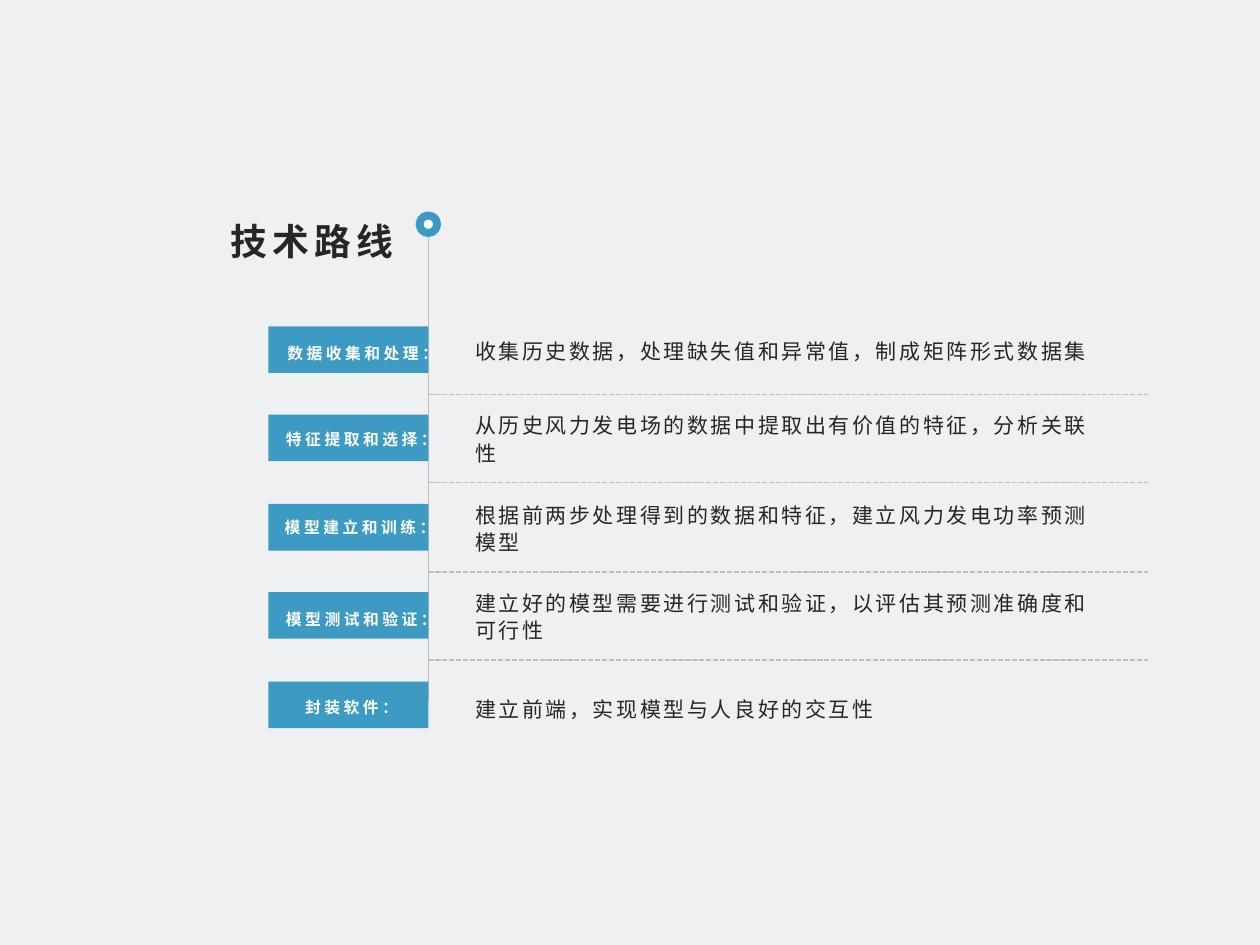
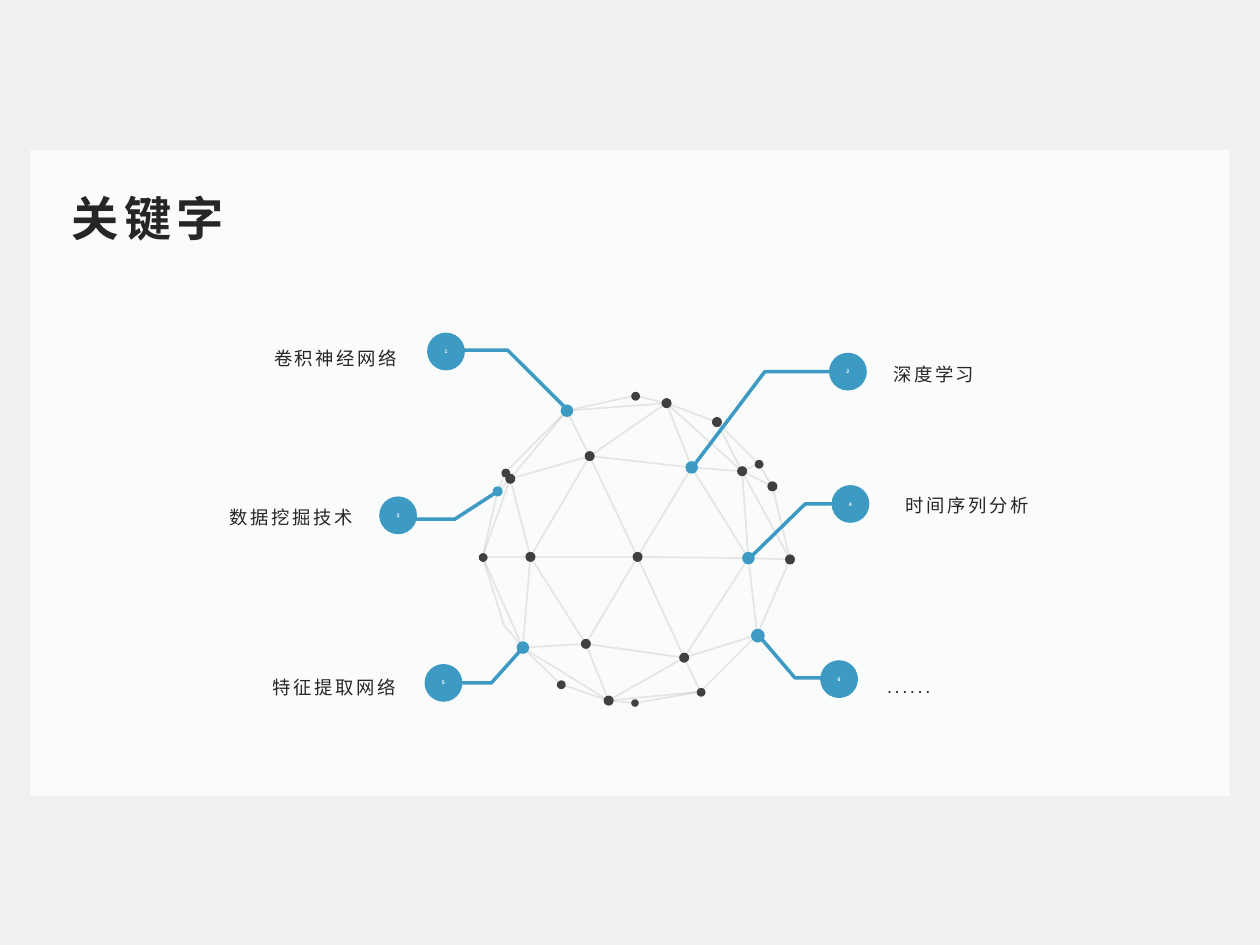
from dataclasses import dataclass

from lxml import etree
from pptx import Presentation
from pptx.dml.color import RGBColor
from pptx.enum.dml import MSO_LINE
from pptx.enum.shapes import MSO_CONNECTOR, MSO_SHAPE
from pptx.enum.text import MSO_ANCHOR, MSO_AUTO_SIZE, PP_ALIGN
from pptx.oxml.ns import qn
from pptx.util import Pt

PX = 9144  # EMU per px, 100 px to the inch
FONT = "Arial"
BACKGROUND, PANEL, WHITE = "EFF0F1", "FAFCFC", "FFFFFF"
ACCENT, INK, DOT = "3D9AC2", "262626", "404040"
RULE, MESH = "BFBFBF", "A6A6A6"
RECT, OVAL = MSO_SHAPE.RECTANGLE, MSO_SHAPE.OVAL
STRAIGHT, DASHED = MSO_CONNECTOR.STRAIGHT, MSO_LINE.SQUARE_DOT
LEFT, CENTER, RIGHT = PP_ALIGN.LEFT, PP_ALIGN.CENTER, PP_ALIGN.RIGHT
TOP, MIDDLE = MSO_ANCHOR.TOP, MSO_ANCHOR.MIDDLE
TITLE_ONLY = 5

Box = tuple[int, int, int, int]
Point = tuple[int, int]


@dataclass(frozen=True)
class Step:
    label: str
    label_box: Box
    detail: str
    line_spacing: float = 1.1


@dataclass(frozen=True)
class Node:
    left: int
    top: int
    size: int
    color: str = DOT

    @property
    def center(self) -> Point:
        return self.left + self.size // 2, self.top + self.size // 2


@dataclass(frozen=True)
class Keyword:
    text: str
    label_at: Point
    align: PP_ALIGN
    badge_at: Point
    leader: tuple[Point, Point, Point]


STEPS = [
    Step("数据收集和处理：", (217, 251, 129, 54),
         "收集历史数据，处理缺失值和异常值，制成矩阵形式数据集"),
    Step("特征提取和选择：", (215, 321, 131, 50),
         "从历史风力发电场的数据中提取出有价值的特征，分析关联性"),
    Step("模型建立和训练：", (217, 393, 125, 46),
         "根据前两步处理得到的数据和特征，建立风力发电功率预测模型"),
    Step("模型测试和验证：", (215, 466, 131, 46),
         "建立好的模型需要进行测试和验证，以评估其预测准确度和可行性"),
    Step("封装软件：", (231, 544, 96, 30),
         "建立前端，实现模型与人良好的交互性", 1.3),
]

NODES = [
    Node(501, 311, 7), Node(525, 316, 8), Node(565, 331, 8),
    Node(445, 321, 10, ACCENT), Node(464, 358, 8), Node(544, 366, 10, ACCENT),
    Node(585, 370, 8), Node(599, 365, 7), Node(609, 382, 8),
    Node(398, 372, 7), Node(401, 376, 8), Node(391, 386, 8, ACCENT),
    Node(380, 439, 7), Node(417, 438, 8), Node(502, 438, 8),
    Node(589, 438, 10, ACCENT), Node(623, 440, 8), Node(410, 509, 10, ACCENT),
    Node(461, 507, 8), Node(539, 518, 8), Node(596, 499, 11, ACCENT),
    Node(442, 540, 7), Node(479, 552, 8), Node(501, 555, 6), Node(553, 546, 7),
]
LEFT_BEND = (400, 496)
# node index -> indexes of the nodes it is tied to
TIES = {
    0: (1, 3), 1: (2, 3, 4, 5, 6), 2: (6, 7), 3: (4, 9, 10),
    4: (5, 10, 13, 14), 5: (6, 14, 15), 6: (7, 8, 15, 16), 7: (8,), 8: (16,),
    9: (11,), 10: (11, 12, 13), 11: (12,), 12: (13, 17), 13: (14, 17, 18),
    14: (15, 18, 19), 15: (16, 19, 20), 16: (20,), 17: (18, 21, 22),
    18: (19, 22), 19: (20, 22, 24), 20: (24,), 21: (22,), 22: (23, 24),
    23: (24,),
}

KEYWORDS = [
    Keyword("卷积神经网络", (125, 239), RIGHT, (339, 264),
            ((449, 324), (403, 278), (365, 278))),
    Keyword("深度学习", (702, 252), LEFT, (658, 280),
            ((551, 369), (607, 295), (666, 295))),
    Keyword("数据挖掘技术", (90, 365), RIGHT, (301, 394),
            ((395, 390), (361, 412), (328, 412))),
    Keyword("时间序列分析", (712, 356), LEFT, (660, 385),
            ((595, 443), (639, 400), (670, 400))),
    Keyword("特征提取网络", (124, 500), RIGHT, (337, 527),
            ((416, 513), (390, 542), (365, 542))),
    Keyword("......", (697, 499), LEFT, (651, 524),
            ((601, 503), (631, 538), (652, 538))),
]


def rgb(color: str) -> RGBColor:
    return RGBColor.from_string(color)


def emu(*lengths: int) -> list[int]:
    return [length * PX for length in lengths]


def write(shape, text: str, *, size: float, color: str = INK, bold: bool = False,
          spacing: float = 0, align: PP_ALIGN = LEFT, anchor: MSO_ANCHOR = MIDDLE,
          line_spacing: float = 1.0) -> None:
    tf = shape.text_frame
    tf.word_wrap = True
    tf.auto_size = MSO_AUTO_SIZE.NONE
    tf.vertical_anchor = anchor
    tf.margin_left = tf.margin_right = 7 * PX
    tf.margin_top = tf.margin_bottom = 4 * PX
    p = tf.paragraphs[0]
    p.alignment = align
    p.line_spacing = line_spacing
    r = p.add_run()
    r.text = text
    r.font.name = FONT
    r.font.size = Pt(size)
    r.font.bold = bold
    r.font.color.rgb = rgb(color)
    rPr = r._r.get_or_add_rPr()
    rPr.set("spc", str(int(spacing * 100)))
    ea = etree.Element(qn("a:ea"), typeface=FONT)
    rPr.find(qn("a:latin")).addnext(ea)


def add_text(s, box: Box, text: str, **style) -> None:
    write(s.shapes.add_textbox(*emu(*box)), text, **style)


def set_title(s, box: Box, text: str, **style) -> None:
    title = s.shapes.title
    title.left, title.top, title.width, title.height = emu(*box)
    write(title, text, bold=True, spacing=3, **style)


def add_filled(s, kind: MSO_SHAPE, box: Box, fill: str):
    sp = s.shapes.add_shape(kind, *emu(*box))
    sp.shadow.inherit = False
    sp.fill.solid()
    sp.fill.fore_color.rgb = rgb(fill)
    sp.line.fill.background()
    return sp


def add_rule(s, start: Point, end: Point, dash: MSO_LINE | None = None) -> None:
    line = s.shapes.add_connector(STRAIGHT, *emu(*start, *end))
    line.line.color.rgb = rgb(RULE)
    line.line.width = Pt(1)
    line.line.dash_style = dash
    etree.SubElement(line._element.spPr, qn("a:effectLst"))


def add_polylines(s, lines: list[tuple[Point, ...]], color: str, width: float):
    """Draw all open polylines as one outline shape."""
    builder = s.shapes.build_freeform(*lines[0][0], scale=PX)
    for start, *rest in lines:
        builder.move_to(*start)
        builder.add_line_segments(rest, close=False)
    sp = builder.convert_to_shape()
    sp.shadow.inherit = False
    sp.fill.background()
    sp.line.color.rgb = rgb(color)
    sp.line.width = Pt(width)
    return sp


def add_node(s, node: Node) -> None:
    add_filled(s, OVAL, (node.left, node.top, node.size, node.size), node.color)


def add_step(s, step: Step, offset: int) -> None:
    add_filled(s, RECT, (213, 259 + offset, 127, 37), ACCENT)
    add_text(s, step.label_box, step.label, size=9, color=WHITE, bold=True,
             spacing=2, align=CENTER, line_spacing=1.3)
    add_text(s, (370, 251 + offset, 512, 53), step.detail, size=12,
             spacing=1.5, line_spacing=step.line_spacing)


def add_keyword(s, number: int, keyword: Keyword) -> None:
    add_polylines(s, [keyword.leader], ACCENT, 2)
    badge = add_filled(s, OVAL, (*keyword.badge_at, 30, 30), ACCENT)
    write(badge, str(number), size=3, color=WHITE, bold=True, align=CENTER)
    add_text(s, (*keyword.label_at, 197, 87), keyword.text, size=10.5,
             spacing=1.5, align=keyword.align, line_spacing=1.2)


def build_roadmap(s) -> None:
    set_title(s, (89, 163, 230, 95), "技术路线", size=21, align=RIGHT,
              anchor=TOP, line_spacing=1.2)
    add_rule(s, (340, 171), (340, 556))
    for i, step in enumerate(STEPS):
        offset = 141 * i // 2
        add_step(s, step, offset)
        if i < len(STEPS) - 1:
            add_rule(s, (340, 313 + offset), (911, 313 + offset), DASHED)
    ring = add_filled(s, OVAL, (333, 171, 14, 14), WHITE)
    ring.line.color.rgb = rgb(ACCENT)
    ring.line.width = Pt(4.5)


def build_keywords(s) -> None:
    panel = add_filled(s, RECT, (24, 119, 952, 513), PANEL)
    s.shapes.title._element.addprevious(panel._element)
    set_title(s, (50, 144, 900, 58), "关键字", size=27)

    edges = [(NODES[a].center, NODES[b].center) for a, ends in TIES.items() for b in ends]
    edges.append((NODES[12].center, LEFT_BEND, NODES[17].center))
    mesh = add_polylines(s, edges, MESH, 1)
    mesh_color = mesh._element.spPr.find(".//" + qn("a:srgbClr"))
    etree.SubElement(mesh_color, qn("a:alpha"), val="25000")

    for node in NODES:
        add_node(s, node)
    for number, keyword in enumerate(KEYWORDS, 1):
        add_keyword(s, number, keyword)


def main() -> None:
    prs = Presentation()
    prs.slide_width, prs.slide_height = emu(1000, 750)
    fill = prs.slide_master.background.fill
    fill.solid()
    fill.fore_color.rgb = rgb(BACKGROUND)
    for build in (build_roadmap, build_keywords):
        build(prs.slides.add_slide(prs.slide_layouts[TITLE_ONLY]))
    prs.save("out.pptx")


if __name__ == "__main__":
    main()
